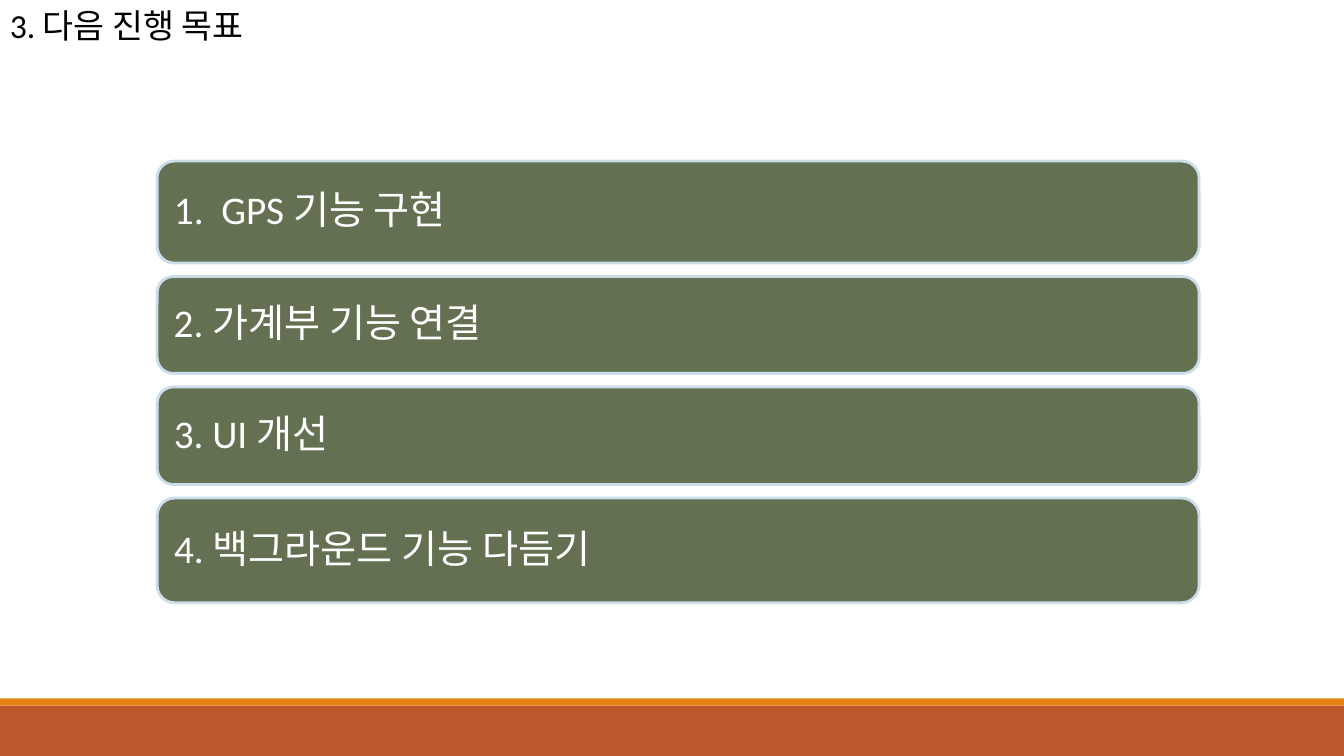
"""Build the slide that lists the next project goals."""
from pptx import Presentation
from pptx.dml.color import RGBColor
from pptx.enum.shapes import MSO_SHAPE as SHAPE
from pptx.enum.text import MSO_ANCHOR as ANCHOR, PP_ALIGN as ALIGN
from pptx.util import Cm, Pt

COLORS = {
    "footer": "BD582C",
    "stripe": "E48312",
    "goal": "637052",
    "outline": "CCDDEA",
    "title": "000000",
    "goal_text": "FFFFFF",
}
SLIDE_W, SLIDE_H = 33.87, 19.05
GOAL_LEFT, GOAL_TOP, GOAL_W, GOAL_GAP = 3.96, 4.06, 26.26, 0.34
GOALS = [
    ("1.  GPS 기능 구현", 2.57),
    ("2. 가계부 기능 연결", 2.44),
    ("3. UI 개선", 2.46),
    ("4. 백그라운드 기능 다듬기", 2.64),
]


def add_box(kind, left, top, width, height, fill):
    sp = slide.shapes.add_shape(kind, Cm(left), Cm(top), Cm(width), Cm(height))
    sp.shadow.inherit = False
    sp.fill.solid()
    sp.fill.fore_color.rgb = RGBColor.from_string(COLORS[fill])
    sp.line.fill.background()
    return sp


def set_text(tf, text, size, color):
    tf.text = text
    p = tf.paragraphs[0]
    p.alignment = ALIGN.LEFT
    font = p.runs[0].font
    font.name = "Calibri"
    font.size = Pt(size)
    font.color.rgb = RGBColor.from_string(COLORS[color])
    return p


prs = Presentation()
prs.slide_width, prs.slide_height = Cm(SLIDE_W), Cm(SLIDE_H)
slide = prs.slides.add_slide(prs.slide_layouts[6])

add_box(SHAPE.RECTANGLE, 0, 17.78, SLIDE_W, 1.27, "footer")
add_box(SHAPE.RECTANGLE, 0, 17.6, SLIDE_W, 0.18, "stripe")

title = slide.shapes.add_textbox(0, 0, Cm(6.86), Cm(1.27))
title.text_frame.word_wrap = False
set_text(title.text_frame, "3. 다음 진행 목표", 24, "title")

top = GOAL_TOP
for text, height in GOALS:
    sp = add_box(SHAPE.ROUNDED_RECTANGLE, GOAL_LEFT, top, GOAL_W, height, "goal")
    sp.line.color.rgb = RGBColor.from_string(COLORS["outline"])
    sp.line.width = Pt(2)
    tf = sp.text_frame
    tf.word_wrap = True
    tf.vertical_anchor = ANCHOR.MIDDLE
    tf.margin_left = tf.margin_right = Cm(0.3)
    tf.margin_top = tf.margin_bottom = Cm(0.3)
    p = set_text(tf, text, 28, "goal_text")
    p.line_spacing = 0.9
    top += height + GOAL_GAP

prs.save("out.pptx")
